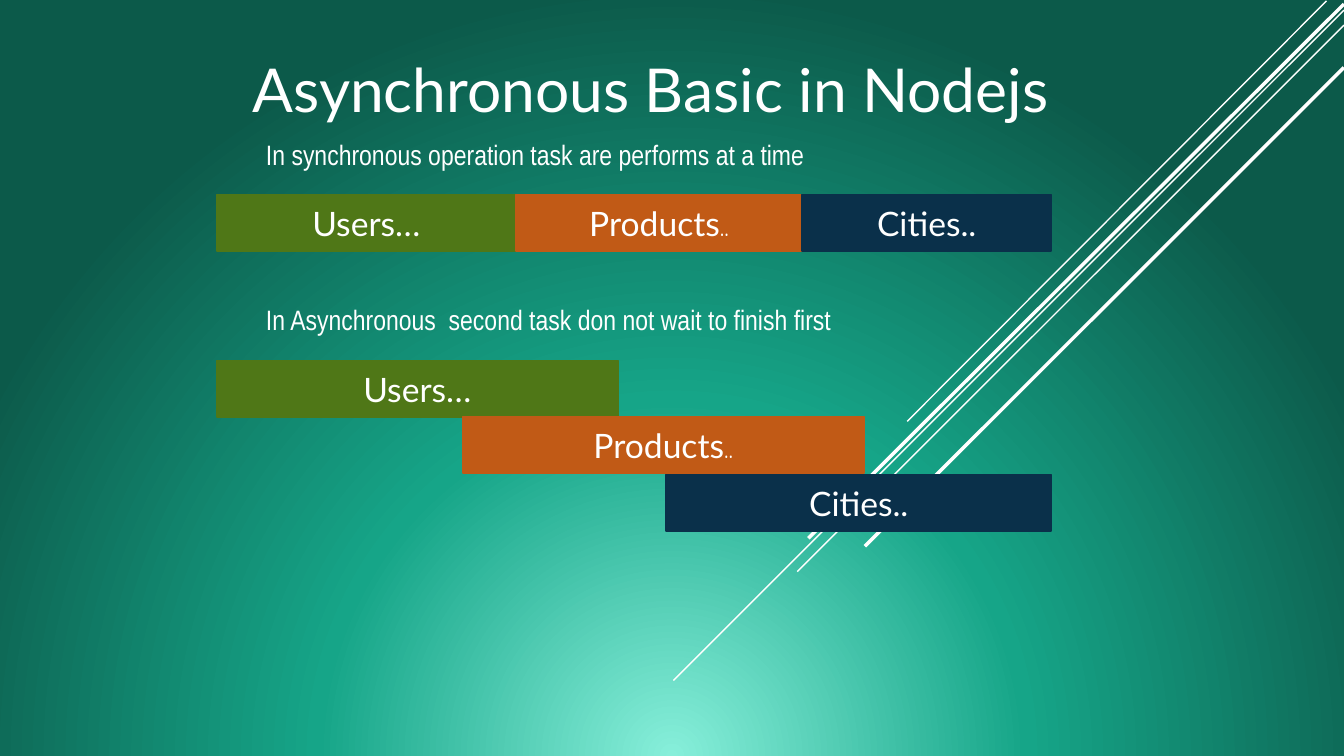
from pptx import Presentation
from pptx.dml.color import RGBColor
from pptx.enum.shapes import MSO_CONNECTOR, MSO_SHAPE
from pptx.enum.text import MSO_ANCHOR, MSO_AUTO_SIZE, PP_ALIGN
from pptx.oxml import parse_xml
from pptx.oxml.ns import nsdecls
from pptx.util import Pt
from lxml import etree

STRAIGHT = MSO_CONNECTOR.STRAIGHT
RECT = MSO_SHAPE.RECTANGLE
MIDDLE, BOTTOM = MSO_ANCHOR.MIDDLE, MSO_ANCHOR.BOTTOM
CENTER = PP_ALIGN.CENTER
GROW = MSO_AUTO_SIZE.SHAPE_TO_FIT_TEXT

WHITE = "FFFFFF"
BACKDROP = [(0, "87EFDA"), (46, "16A588"), (100, "0C5A4A")]
BAR_HEIGHT = 40.5

# x1, y1, x2, y2, width
RAYS = [
    (947.5, 0.7, 648, 301, 1),
    (960, 7.2, 481, 486, 1),
    (960, 18, 569.5, 408.3, 1),
    (960, 2.9, 577.4, 384.5, 2.5),
    (960, 48.2, 617.8, 390.2, 2.5),
]

# label, trailing dots in a smaller font, colour
TASKS = [
    ("Users…", "", "4F7717"),
    ("Products", "..", "C15A16"),
    ("Cities..", "", "0A304A"),
]

# left, top, width, in the order of TASKS
SYNC_BARS = [(154.8, 139, 213.8), (368.6, 139, 204.5), (573.1, 139, 177.8)]
ASYNC_BARS = [(154.8, 257.5, 286.6), (330.5, 297.5, 286.6), (475.9, 339, 275)]


def color(hex_code):
    return RGBColor.from_string(hex_code)


def set_font(font, name, size):
    font.name = name
    font.size = Pt(size)
    font.color.rgb = color(WHITE)


def set_background(s):
    """Fill the slide with a circular gradient centred below its bottom edge."""
    stops = "".join(
        f'<a:gs pos="{pos * 1000}"><a:srgbClr val="{c}"/></a:gs>' for pos, c in BACKDROP
    )
    bg = parse_xml(
        f'<p:bg {nsdecls("p", "a")}><p:bgPr><a:gradFill rotWithShape="1">'
        f'<a:gsLst>{stops}</a:gsLst><a:path path="circle">'
        '<a:fillToRect l="50000" t="130000" r="50000" b="-30000"/></a:path>'
        '</a:gradFill><a:effectLst/></p:bgPr></p:bg>'
    )
    s._element.cSld.insert(0, bg)


def add_ray(s, x1, y1, x2, y2, width):
    ray = s.shapes.add_connector(STRAIGHT, Pt(x1), Pt(y1), Pt(x2), Pt(y2))
    ray.line.color.rgb = color(WHITE)
    ray.line.width = Pt(width)
    sp_pr = ray._element.spPr
    etree.SubElement(sp_pr, f"{{{sp_pr.nsmap['a']}}}effectLst")


def add_text(s, text, left, top, width, height, font, size, wrap=True):
    sp = s.shapes.add_textbox(Pt(left), Pt(top), Pt(width), Pt(height))
    tf = sp.text_frame
    tf.word_wrap = wrap
    p = tf.paragraphs[0]
    p.text = text
    set_font(p.font, font, size)
    return tf


def add_title(s, text):
    tf = add_text(s, text, 102.2, 38.2, 725, 54, "Lato", 43.2)
    tf.vertical_anchor = BOTTOM
    tf.paragraphs[0].alignment = CENTER


def add_caption(s, text, top, width, wrap=True):
    tf = add_text(s, text, 182.9, top, width, 31.5, "Arial Narrow", 20, wrap)
    tf.auto_size = GROW


def add_bar(s, task, left, top, width):
    label, dots, fill = task
    sp = s.shapes.add_shape(RECT, Pt(left), Pt(top), Pt(width), Pt(BAR_HEIGHT))
    sp.shadow.inherit = False
    sp.fill.solid()
    sp.fill.fore_color.rgb = color(fill)
    sp.line.color.rgb = color(fill)
    sp.line.width = Pt(1.25)
    tf = sp.text_frame
    tf.vertical_anchor = MIDDLE
    p = tf.paragraphs[0]
    p.alignment = CENTER
    set_font(p.font, "Lato", 24)
    p.add_run().text = label
    if dots:
        r = p.add_run()
        r.text = dots
        set_font(r.font, "Quicksand", 18)


def add_bars(s, bars):
    for task, bar in zip(TASKS, bars):
        add_bar(s, task, *bar)


def main():
    prs = Presentation()
    prs.slide_width, prs.slide_height = Pt(960), Pt(540)
    s = prs.slides.add_slide(prs.slide_layouts[6])
    set_background(s)
    for ray in RAYS:
        add_ray(s, *ray)
    add_title(s, "Asynchronous Basic in Nodejs")
    add_caption(s, "In synchronous operation task are performs at a time", 94.3, 586.8)
    add_bars(s, SYNC_BARS)
    add_caption(s, "In Asynchronous  second task don not wait to finish first",
                212.4, 454.3, wrap=False)
    add_bars(s, ASYNC_BARS)
    prs.save("out.pptx")


if __name__ == "__main__":
    main()
